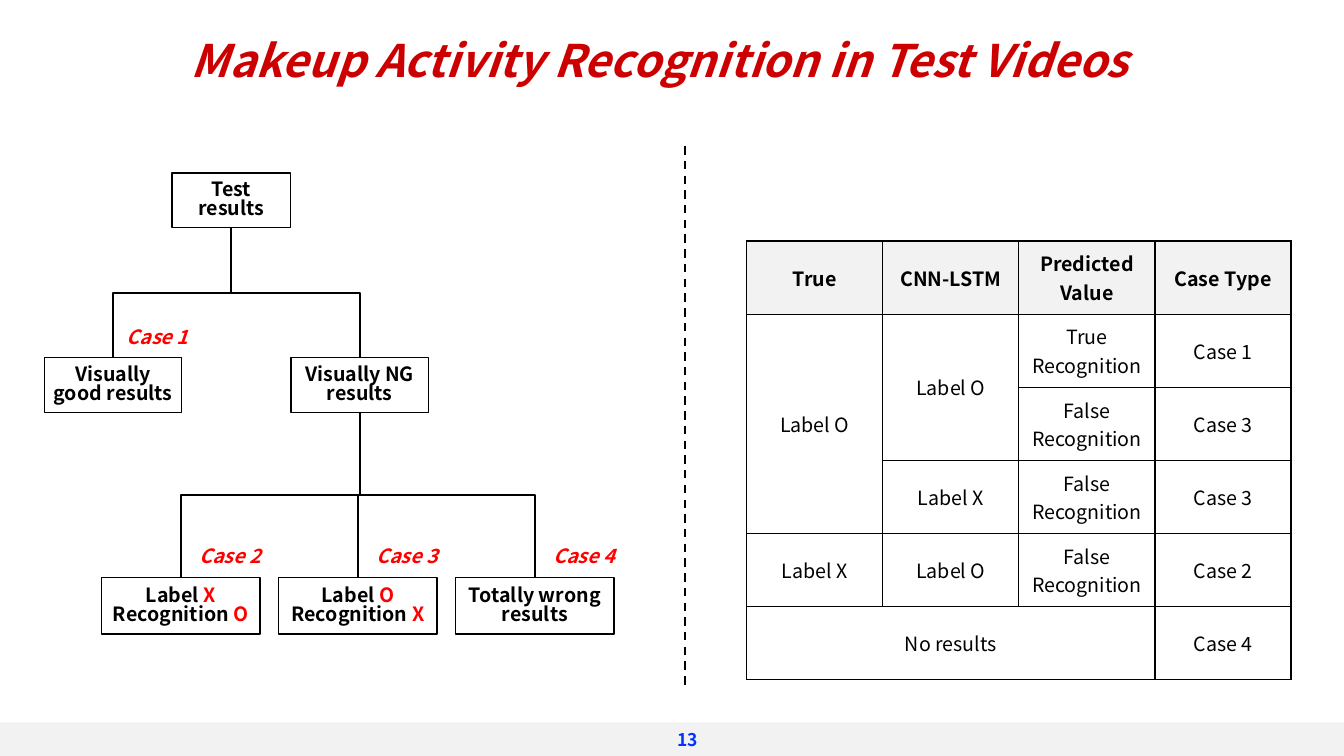
import dataclasses

import lxml.etree
import pptx
import pptx.dml.color
import pptx.enum.dml
import pptx.enum.shapes
import pptx.enum.text
import pptx.oxml.ns
import pptx.util

ALIGN = pptx.enum.text.PP_ALIGN
ANCHOR = pptx.enum.text.MSO_ANCHOR
CONNECTOR = pptx.enum.shapes.MSO_CONNECTOR
SHAPE = pptx.enum.shapes.MSO_SHAPE
QN = pptx.oxml.ns.qn


@dataclasses.dataclass(frozen=True)
class Theme:
    font: str = "Noto Sans CJK KR"
    ink: str = "000000"
    paper: str = "FFFFFF"
    band: str = "F2F2F2"
    title: str = "CC0000"
    accent: str = "FF0000"
    number: str = "0432FF"
    title_size: float = 32
    body_size: float = 14
    number_size: float = 12.5
    thin: float = 1
    thick: float = 1.5
    inset: float = 0.07
    tight: float = 0.82


class Sheet:
    COLUMNS, ROWS = 160, 90

    def __init__(self, deck, theme):
        self.theme = theme
        self.page = deck.slides.add_slide(deck.slide_layouts[6])
        self.column = deck.slide_width / self.COLUMNS
        self.row = deck.slide_height / self.ROWS

    def place(self, left, top, width, height):
        return (round(left * self.column), round(top * self.row),
                round(width * self.column), round(height * self.row))

    def color(self, value):
        return pptx.dml.color.RGBColor.from_string(value)

    def set_text(self, frame, lines, size, color, bold=False, italic=False,
                 align=ALIGN.CENTER, spacing=None):
        for index, line in enumerate(lines):
            para = frame.add_paragraph() if index else frame.paragraphs[0]
            para.alignment = align
            para.line_spacing = spacing
            para.font.name = self.theme.font
            para.font.size = pptx.util.Pt(size)
            para.font.bold = bold
            para.font.italic = italic
            para.font.color.rgb = self.color(color)
            for part, text in enumerate(line.split("*")):
                if text:
                    span = para.add_run()
                    span.text = text
                    if part % 2:
                        span.font.color.rgb = self.color(self.theme.accent)

    def pad(self, frame):
        inset = pptx.util.Inches(self.theme.inset)
        frame.margin_left = frame.margin_right = inset
        frame.margin_top = frame.margin_bottom = inset

    def rectangle(self, area, fill, outline=None):
        box = self.page.shapes.add_shape(SHAPE.RECTANGLE, *self.place(*area))
        box.shadow.inherit = False
        box.fill.solid()
        box.fill.fore_color.rgb = self.color(fill)
        if outline:
            box.line.color.rgb = self.color(outline)
            box.line.width = pptx.util.Pt(self.theme.thin)
        else:
            box.line.fill.background()
        return box

    def node(self, area, *lines):
        box = self.rectangle(area, self.theme.paper, self.theme.ink)
        frame = box.text_frame
        frame.word_wrap = True
        frame.vertical_anchor = ANCHOR.MIDDLE
        self.pad(frame)
        self.set_text(frame, lines, self.theme.body_size, self.theme.ink,
                      bold=True, spacing=self.theme.tight)
        return box

    def label(self, area, text, size, color, italic=True, align=ALIGN.CENTER,
              anchor=ANCHOR.TOP, wrap=True):
        frame = self.page.shapes.add_textbox(*self.place(*area)).text_frame
        frame.word_wrap = wrap
        frame.vertical_anchor = anchor
        self.pad(frame)
        self.set_text(frame, [text], size, color, bold=True, italic=italic, align=align)

    def stroke(self, line):
        line.line.color.rgb = self.color(self.theme.ink)
        line.line.width = pptx.util.Pt(self.theme.thick)
        lxml.etree.SubElement(line._element.spPr, QN("a:effectLst"))

    def branch(self, parent, child):
        link = self.page.shapes.add_connector(CONNECTOR.ELBOW, 0, 0, 1, 1)
        link.begin_connect(parent, 2)
        link.end_connect(child, 0)
        start_x, start_y = parent.left + parent.width // 2, parent.top + parent.height
        end_x, end_y = child.left + child.width // 2, child.top
        drop, shift = end_y - start_y, end_x - start_x
        link.width, link.height = drop, abs(shift)
        link.left = (start_x + end_x - drop) // 2
        link.top = (start_y + end_y - abs(shift)) // 2
        frame = link._element.spPr.find(QN("a:xfrm"))
        for name in ("flipH", "flipV"):
            frame.attrib.pop(name, None)
        frame.set("rot", str((270 if shift > 0 else 90) * 60000))
        if shift > 0:
            frame.set("flipH", "1")
        self.stroke(link)

    def divider(self, column, top, bottom):
        x, start, _, end = self.place(column, top, 0, bottom)
        line = self.page.shapes.add_connector(CONNECTOR.STRAIGHT, x, start, x, end)
        line.line.dash_style = pptx.enum.dml.MSO_LINE.DASH
        self.stroke(line)

    def border(self, cell):
        properties = cell._tc.get_or_add_tcPr()
        for side in ("lnL", "lnR", "lnT", "lnB"):
            edge = lxml.etree.SubElement(properties, QN("a:" + side),
                                         w=str(pptx.util.Pt(self.theme.thin)))
            fill = lxml.etree.SubElement(edge, QN("a:solidFill"))
            lxml.etree.SubElement(fill, QN("a:srgbClr"), val=self.theme.ink)

    def table(self, left, top, width, height, rows, merges):
        count = len(rows[0])
        area = self.place(left, top, width * count, height * len(rows))
        grid = self.page.shapes.add_table(len(rows), count, *area).table
        for row_index, texts in enumerate(rows):
            header = row_index == 0
            for column_index, text in enumerate(texts):
                cell = grid.cell(row_index, column_index)
                self.border(cell)
                cell.fill.solid()
                cell.fill.fore_color.rgb = self.color(
                    self.theme.band if header else self.theme.paper)
                cell.vertical_anchor = ANCHOR.MIDDLE
                self.set_text(cell.text_frame, [text], self.theme.body_size,
                              self.theme.ink, bold=header)
        for first, last in merges:
            grid.cell(*first).merge(grid.cell(*last))


def main():
    deck = pptx.Presentation()
    deck.slide_width = pptx.util.Inches(13.33)
    deck.slide_height = pptx.util.Inches(7.5)
    theme = Theme()
    sheet = Sheet(deck, theme)

    sheet.rectangle((0, 86, 160, 4), theme.band)
    sheet.label((79.8, 85.9, 4.4, 4.2), "13", theme.number_size, theme.number,
                italic=False, align=ALIGN.LEFT, wrap=False)
    sheet.label((21.9, 1.2, 134.5, 11.75), "Makeup Activity Recognition in Test Videos",
                theme.title_size, theme.title, align=ALIGN.LEFT, anchor=ANCHOR.MIDDLE)

    sheet.table(88.9, 28.7, 16.2, 8.7, [
        ("True", "CNN-LSTM", "Predicted Value", "Case Type"),
        ("Label O", "Label O", "True Recognition", "Case 1"),
        ("", "", "False Recognition", "Case 3"),
        ("", "Label X", "False Recognition", "Case 3"),
        ("Label X", "Label O", "False Recognition", "Case 2"),
        ("No results", "", "", "Case 4"),
    ], [((1, 0), (3, 0)), ((1, 1), (2, 1)), ((5, 0), (5, 2))])

    root = sheet.node((20.5, 20.6, 14.1, 6.5), "Test results")
    good, poor = [
        sheet.node((left, 42.6, 16.35, 6.5), text)
        for left, text in ((5.3, "Visually good results"), (34.65, "Visually NG results"))
    ]
    outcomes = [("Label *X*", "Recognition *O*"),
                ("Label *O*", "Recognition *X*"),
                ("Totally wrong results",)]
    leaves = [sheet.node((12.1 + 21.08 * index, 68.75, 18.85, 6.75), *lines)
              for index, lines in enumerate(outcomes)]

    for parent, children in ((root, (good, poor)), (poor, leaves)):
        for child in children:
            sheet.branch(parent, child)

    spots = [(13.3, 37.8)] + [(21.95 + 21.08 * index, 63.95) for index in range(3)]
    for number, (left, top) in enumerate(spots, 1):
        sheet.label((left, top, 10.9, 4.45), f"Case {number}", theme.body_size, theme.accent)

    sheet.divider(81.6, 17.4, 82.1)
    deck.save("out.pptx")


if __name__ == "__main__":
    main()
